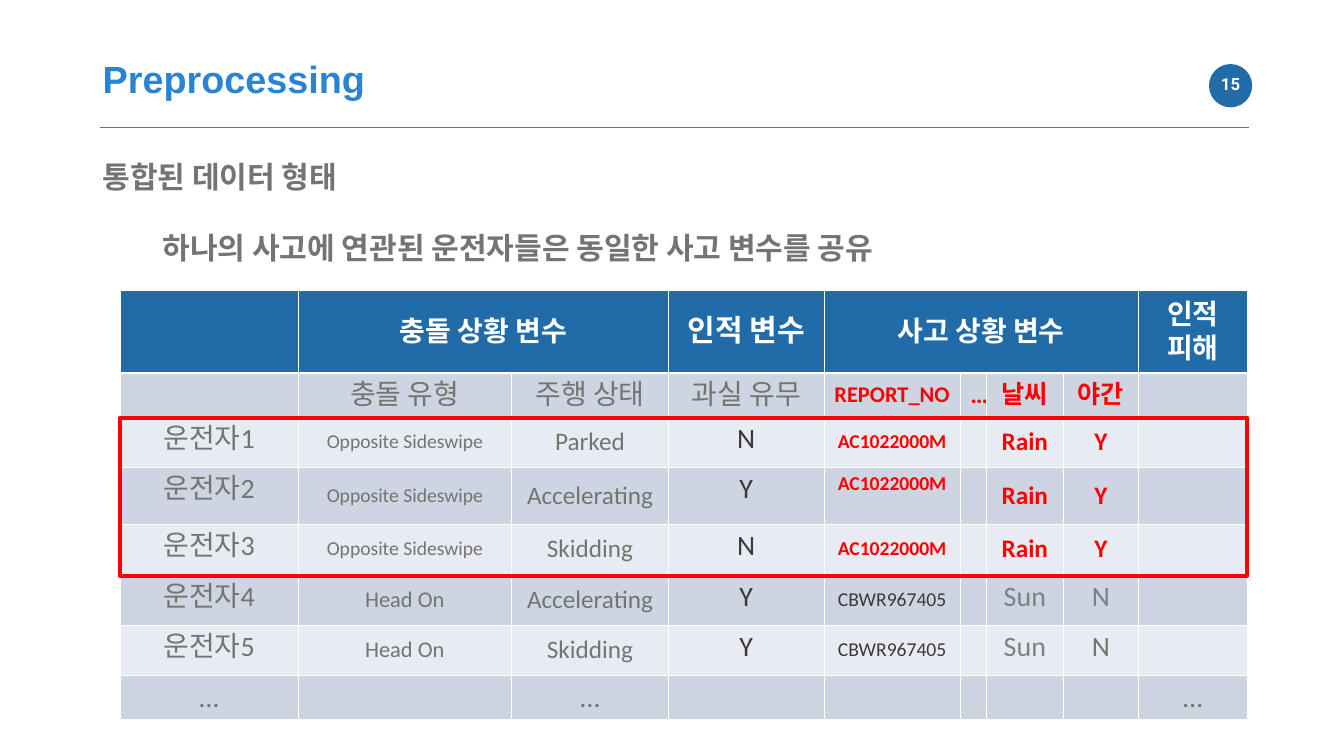
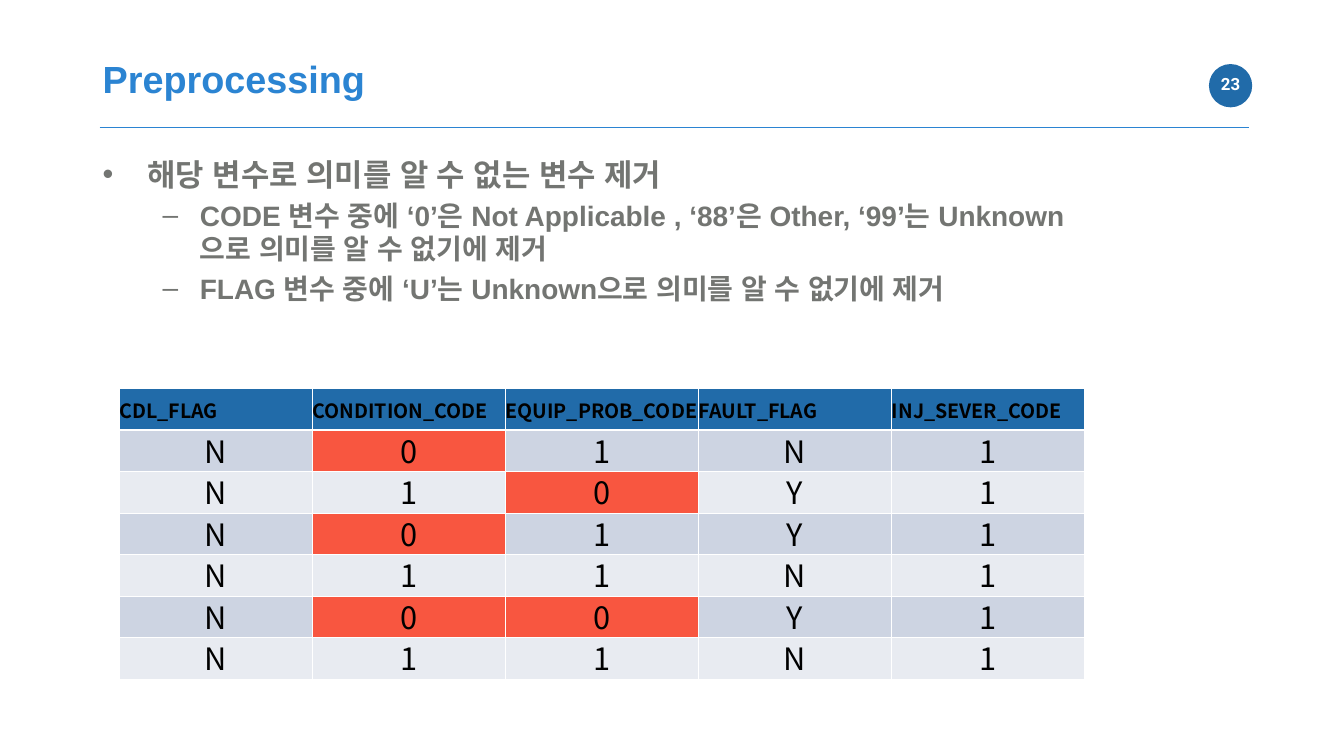
"""Build two slides on preprocessing of crash data."""
from dataclasses import dataclass, replace
from typing import NamedTuple

from lxml.etree import SubElement as Sub
from pptx import Presentation
from pptx.dml.color import RGBColor as Rgb
from pptx.enum.shapes import MSO_CONNECTOR as Link, MSO_SHAPE as Kind
from pptx.enum.text import MSO_ANCHOR as Anchor, PP_ALIGN as Align
from pptx.oxml.ns import qn
from pptx.util import Inches, Pt

WIDE, HIGH = Inches(26.67), Inches(15)


@dataclass(frozen=True)
class Theme:
    """Colours, fonts and type sizes of the deck."""
    deep: str = "216BA9"
    blue: str = "2B84D2"
    gray: str = "737572"
    pale: str = "7C8185"
    ink: str = "3A3A39"
    black: str = "000000"
    white: str = "FFFFFF"
    red: str = "FF0000"
    alarm: str = "F85640"
    bands: tuple[str, str] = ("CDD4E2", "E8EBF1")
    head: str = "Arial"
    body: str = "Calibri"
    badge: str = "Roboto"
    data: str = "Noto Sans CJK KR"
    title: float = 54
    point: float = 44
    lead: float = 43
    main: float = 40
    mid: float = 36
    small: float = 32
    tiny: float = 28
    page: float = 24


T = Theme()


class Box(NamedTuple):
    """Place in hundredths of the slide's width and height."""
    x: float
    y: float
    w: float
    h: float

    def emu(self) -> tuple[int, int, int, int]:
        """Return left, top, width and height as lengths."""
        return across(self.x), down(self.y), across(self.w), down(self.h)


@dataclass(frozen=True)
class Look:
    """Format of the text in a table cell."""
    size: float = T.main
    color: str = T.gray
    bold: bool = False
    font: str = T.body
    align: Align = Align.CENTER
    line: float | None = None
    anchor: Anchor = Anchor.MIDDLE
    pad: tuple[float, float, float, float] = (0.2, 0.1, 0.2, 0.1)


class Entry(NamedTuple):
    """Text and look of one cell."""
    text: str = ""
    look: Look = Look()
    fill: str | None = None


class Driver(NamedTuple):
    """One driver's row in the merged data."""
    crash: str
    move: str
    fault: str
    report: str
    sky: str
    night: str


class Point(NamedTuple):
    """One bulleted line."""
    text: str
    size: float
    level: int
    mark: str
    left: float
    hang: float


def across(share: float) -> int:
    """Turn a share of the width into a length."""
    return round(WIDE * share / 100)


def down(share: float) -> int:
    """Turn a share of the height into a length."""
    return round(HIGH * share / 100)


def write(frame, text: str, *, size: float, color: str, font: str,
          bold: bool = True, align: Align = Align.LEFT, more: bool = False,
          before: float | None = None, line: float | None = None,
          level: int = 0, left: float = 0, hang: float = 0, mark: str = "") -> None:
    """Write one paragraph with its format."""
    para = frame.add_paragraph() if more else frame.paragraphs[0]
    para.alignment, para.level = align, level
    if before is not None:
        para.space_before = Pt(before)
    if line is not None:
        para.line_spacing = line
    if left or mark:
        props = para._p.get_or_add_pPr()
        props.set("marL", str(Inches(left)))
        props.set("indent", str(Inches(hang)))
        if mark:
            Sub(props, qn("a:buFont"), typeface=T.head)
            Sub(props, qn("a:buChar"), char=mark)
    run = para.add_run()
    run.text = text
    run.font.size, run.font.bold, run.font.name = Pt(size), bold, font
    run.font.color.rgb = Rgb.from_string(color)
    Sub(run._r.get_or_add_rPr(), qn("a:ea"), typeface=font)


def pane(slide, box: Box):
    """Add a wrapping text box and return its frame."""
    frame = slide.shapes.add_textbox(*box.emu()).text_frame
    frame.word_wrap = True
    return frame


def inset(part, pad: tuple[float, float, float, float]) -> None:
    """Set the four margins of a frame or cell."""
    (part.margin_left, part.margin_top,
     part.margin_right, part.margin_bottom) = map(Inches, pad)


def shape(slide, kind: Kind, box: Box, fill: str = "", edge: str = "",
          weight: float = 0) -> None:
    """Add a flat preset shape."""
    item = slide.shapes.add_shape(kind, *box.emu())
    item.shadow.inherit = False
    if fill:
        item.fill.solid()
        item.fill.fore_color.rgb = Rgb.from_string(fill)
    else:
        item.fill.background()
    if edge:
        item.line.color.rgb = Rgb.from_string(edge)
        item.line.width = Pt(weight)
    else:
        item.line.fill.background()


def frame_up(deck, page: str):
    """Add a slide with the shared title, rule and page badge."""
    slide = deck.slides.add_slide(deck.slide_layouts[6])
    shape(slide, Kind.OVAL, Box(89.95, 8.47, 3.22, 5.73), fill=T.deep)
    rule = slide.shapes.add_connector(
        Link.STRAIGHT, across(7.42), down(16.87), across(92.95), down(16.87))
    rule.line.color.rgb = Rgb.from_string(T.blue)
    rule.line.width = Pt(2.25)
    Sub(rule._element.spPr, qn("a:effectLst"))
    badge = pane(slide, Box(89.65, 8.67, 3.82, 4.87))
    badge.vertical_anchor = Anchor.MIDDLE
    inset(badge, (0.24, 0.12, 0.24, 0.12))
    write(badge, page, size=T.page, color=T.white, font=T.badge, align=Align.CENTER)
    title = pane(slide, Box(7.27, 7.07, 70.87, 6.73))
    write(title, "Preprocessing", size=T.title, color=T.blue, font=T.head)
    return slide


def border(cell, row: int) -> None:
    """Draw white cell borders, thick under the header."""
    props = cell._tc.get_or_add_tcPr()
    thick = {0: "lnB", 1: "lnT"}.get(row)
    for side in ("lnL", "lnR", "lnT", "lnB"):
        edge = Sub(props, qn(f"a:{side}"), w=str(Pt(3 if side == thick else 1)))
        Sub(Sub(edge, qn("a:solidFill")), qn("a:srgbClr"), val=T.white)


def table(slide, x: float, y: float, cols: list[float], rows: list[float],
          grid: list[list[Entry]], spans: tuple[tuple[int, int], ...] = ()) -> None:
    """Draw a banded table and merge header spans."""
    box = Box(x, y, sum(cols), sum(rows))
    sheet = slide.shapes.add_table(len(rows), len(cols), *box.emu()).table
    for col, width in zip(sheet.columns, cols):
        col.width = across(width)
    for row, height in zip(sheet.rows, rows):
        row.height = down(height)
    for first, last in spans:
        sheet.cell(0, first).merge(sheet.cell(0, last))
    for r, line in enumerate(grid):
        for c, entry in enumerate(line):
            cell, look = sheet.cell(r, c), entry.look
            border(cell, r)
            cell.fill.solid()
            band = T.bands[(r - 1) % 2] if r else T.deep
            cell.fill.fore_color.rgb = Rgb.from_string(entry.fill or band)
            cell.vertical_anchor = look.anchor
            inset(cell, look.pad)
            for n, text in enumerate(entry.text.splitlines()):
                write(cell.text_frame, text, size=look.size, color=look.color,
                      font=look.font, bold=look.bold, align=look.align,
                      line=look.line, more=n > 0)


def merged(deck) -> None:
    """Draw the slide on the merged data."""
    slide = frame_up(deck, "15")
    head = Look(color=T.white, bold=True)
    top = Look(anchor=Anchor.TOP)
    hot = Look(T.mid, T.red, True)
    void = Entry()
    grid = [
        [void, Entry("충돌 상황 변수", head), void,
         Entry("인적 변수", replace(head, size=T.lead)),
         Entry("사고 상황 변수", head), void, void, void, Entry("인적\n피해", head)],
        [void, *(Entry(t, top) for t in ("충돌 유형", "주행 상태", "과실 유무")),
         Entry("REPORT_NO", replace(hot, size=T.small)),
         *(Entry(t, hot) for t in ("…", "날씨", "야간")), void],
    ]
    side, code = "Opposite Sideswipe", "AC1022000M"
    drivers = [
        Driver(side, "Parked", "N", code, "Rain", "Y"),
        Driver(side, "Accelerating", "Y", code, "Rain", "Y"),
        Driver(side, "Skidding", "N", code, "Rain", "Y"),
        Driver("Head On", "Accelerating", "Y", "CBWR967405", "Sun", "N"),
        Driver("Head On", "Skidding", "Y", "CBWR967405", "Sun", "N"),
    ]
    for n, d in enumerate(drivers, 1):
        same = d.report == code
        mark = replace(hot, size=T.tiny) if same else Look(T.tiny, T.ink)
        if n == 2:
            mark = replace(mark, anchor=Anchor.TOP)
        state = hot if same else replace(top, color=T.pale)
        grid.append([
            Entry(f"운전자{n}", top),
            Entry(d.crash, Look(T.tiny if same else T.small)),
            Entry(d.move, Look(T.mid)),
            Entry(d.fault, replace(top, color=T.ink)),
            Entry(d.report, mark), void,
            Entry(d.sky, state),
            Entry(d.night, replace(state, color=T.gray) if n == 5 else state), void])
    grid.append([Entry("…", top) if c in (0, 2, 8) else void for c in range(9)])
    table(slide, 8.92, 38.4,
          [13.27, 15.86, 11.7, 11.55, 10.16, 1.95, 5.7, 5.62, 8.06],
          [10.93, 5.8, 6.67, 7.53, 6.67, 6.67, 6.67, 5.67], grid, ((1, 2), (4, 7)))
    shape(slide, Kind.RECTANGLE, Box(8.92, 55.27, 83.88, 20.93), edge=T.red, weight=6)
    note = pane(slide, Box(7.27, 20.67, 72.03, 15.13))
    style = dict(size=T.lead, color=T.gray, font=T.body)
    write(note, "통합된 데이터 형태", **style)
    write(note, "하나의 사고에 연관된 운전자들은 동일한 사고 변수를 공유",
          more=True, before=49, level=1, left=1.19, **style)


def cleaned(deck) -> None:
    """Draw the slide on removed values."""
    slide = frame_up(deck, "23")
    cell = Look(T.point, T.black, font=T.data, line=0.9, pad=(0.01, 0.01, 0.01, 0))
    head = replace(cell, size=T.tiny, bold=True, align=Align.LEFT, line=None)
    names = ("CDL_FLAG", "CONDITION_CODE", "EQUIP_PROB_CODE", "FAULT_FLAG",
             "INJ_SEVER_CODE")
    grid = [[Entry(name, head) for name in names]]
    for line in ("N01N1", "N10Y1", "N01Y1", "N11N1", "N00Y1", "N11N1"):
        grid.append([Entry(v, cell, T.alarm if v == "0" else None) for v in line])
    table(slide, 8.85, 51.4, [14.37] * 5, [5.53] + [5.48] * 6, grid)
    points = [
        Point("해당 변수로 의미를 알 수 없는 변수 제거", T.point, 0, "•", 0.89, -0.89),
        Point("CODE 변수 중에 ‘0’은 Not Applicable , ‘88’은 Other, ‘99’는 "
              "Unknown으로 의미를 알 수 없기에 제거", T.main, 1, "–", 1.93, -0.74),
        Point("FLAG 변수 중에 ‘U’는 Unknown으로 의미를 알 수 없기에 제거",
              T.main, 1, "–", 1.93, -0.74),
    ]
    note = pane(slide, Box(7.27, 20.27, 73.42, 35.6))
    for n, p in enumerate(points):
        write(note, p.text, size=p.size, color=T.gray, font=T.head, more=n > 0,
              before=p.size / 5, level=p.level, left=p.left, hang=p.hang, mark=p.mark)


def main() -> None:
    """Build and save the deck."""
    deck = Presentation()
    deck.slide_width, deck.slide_height = WIDE, HIGH
    merged(deck)
    cleaned(deck)
    deck.save("out.pptx")


if __name__ == "__main__":
    main()
